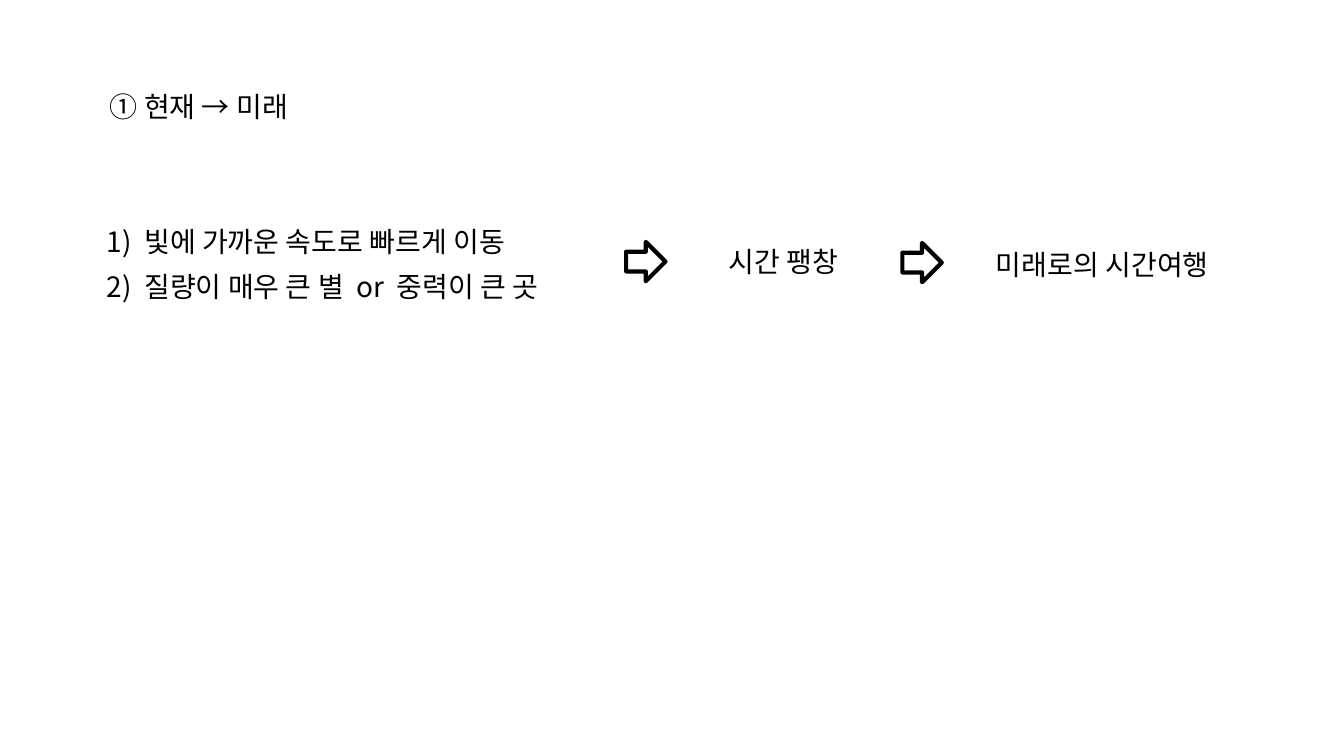
from lxml import etree
from pptx import Presentation
from pptx.dml.color import RGBColor
from pptx.enum.shapes import MSO_SHAPE
from pptx.enum.text import MSO_AUTO_SIZE, PP_ALIGN
from pptx.oxml.ns import qn
from pptx.util import Inches, Pt

ARROW = MSO_SHAPE.RIGHT_ARROW
GROW = MSO_AUTO_SIZE.SHAPE_TO_FIT_TEXT
LEFT, CENTER = PP_ALIGN.LEFT, PP_ALIGN.CENTER

COLORS = {"ink": "000000", "paper": "FFFFFF"}
FONT = "Noto Sans CJK KR"
SIZE = 20
ROW = 0.44
SIDE = 0.39
GAP = "450"  # extra width of a wide space, in 1/100 pt

HEAD = "① 현재 → 미래"
CAUSES = [
    (4.81, ["1)", "빛에 가까운 속도로 빠르게 이동"]),
    (5.05, ["2)", "질량이 매우 큰 별", "or", "중력이 큰 곳"]),
]
EFFECT = "시간 팽창"
RESULT = "미래로의 시간여행"


def color(name):
    return RGBColor.from_string(COLORS[name])


def add_run(para, text):
    run = para.add_run()
    run.text = text
    run.font.size = Pt(SIZE)
    run.font.name = FONT
    run.font.color.rgb = color("ink")
    props = run.font._element
    etree.SubElement(props, qn("a:ea")).set("typeface", FONT)
    return props


def add_label(slide, left, top, width, parts, align=LEFT):
    """Place one line of text, with a wide space between its parts."""
    box = slide.shapes.add_textbox(
        Inches(left), Inches(top), Inches(width), Inches(ROW))
    frame = box.text_frame
    frame.word_wrap = True
    frame.auto_size = GROW
    para = frame.paragraphs[0]
    para.alignment = align
    for i, part in enumerate(parts):
        if i:
            add_run(para, " ").set("spc", GAP)
        add_run(para, part)


def add_arrow(slide, left, top):
    arrow = slide.shapes.add_shape(
        ARROW, Inches(left), Inches(top), Inches(SIDE), Inches(SIDE))
    arrow.shadow.inherit = False
    arrow.fill.solid()
    arrow.fill.fore_color.rgb = color("paper")
    arrow.line.color.rgb = color("ink")
    arrow.line.width = Pt(3)


def add_causes(slide, left, top):
    for i, (width, parts) in enumerate(CAUSES):
        add_label(slide, left, top + i * ROW, width, parts)


def add_flow(slide, left, top):
    """Lead from the causes through the effect to the result."""
    add_causes(slide, left, top)
    add_arrow(slide, left + 5.25, top + 0.22)
    add_label(slide, left + 6.08, top + 0.2, 1.46, [EFFECT], CENTER)
    add_arrow(slide, left + 7.99, top + 0.23)
    add_label(slide, left + 8.82, top + 0.23, 2.59, [RESULT])


def main():
    deck = Presentation()
    deck.slide_width, deck.slide_height = Inches(13.33), Inches(7.5)
    slide = deck.slides.add_slide(deck.slide_layouts[6])
    add_label(slide, 0.99, 0.84, 2.74, [HEAD])
    add_flow(slide, 0.96, 2.18)
    deck.save("out.pptx")


if __name__ == "__main__":
    main()
